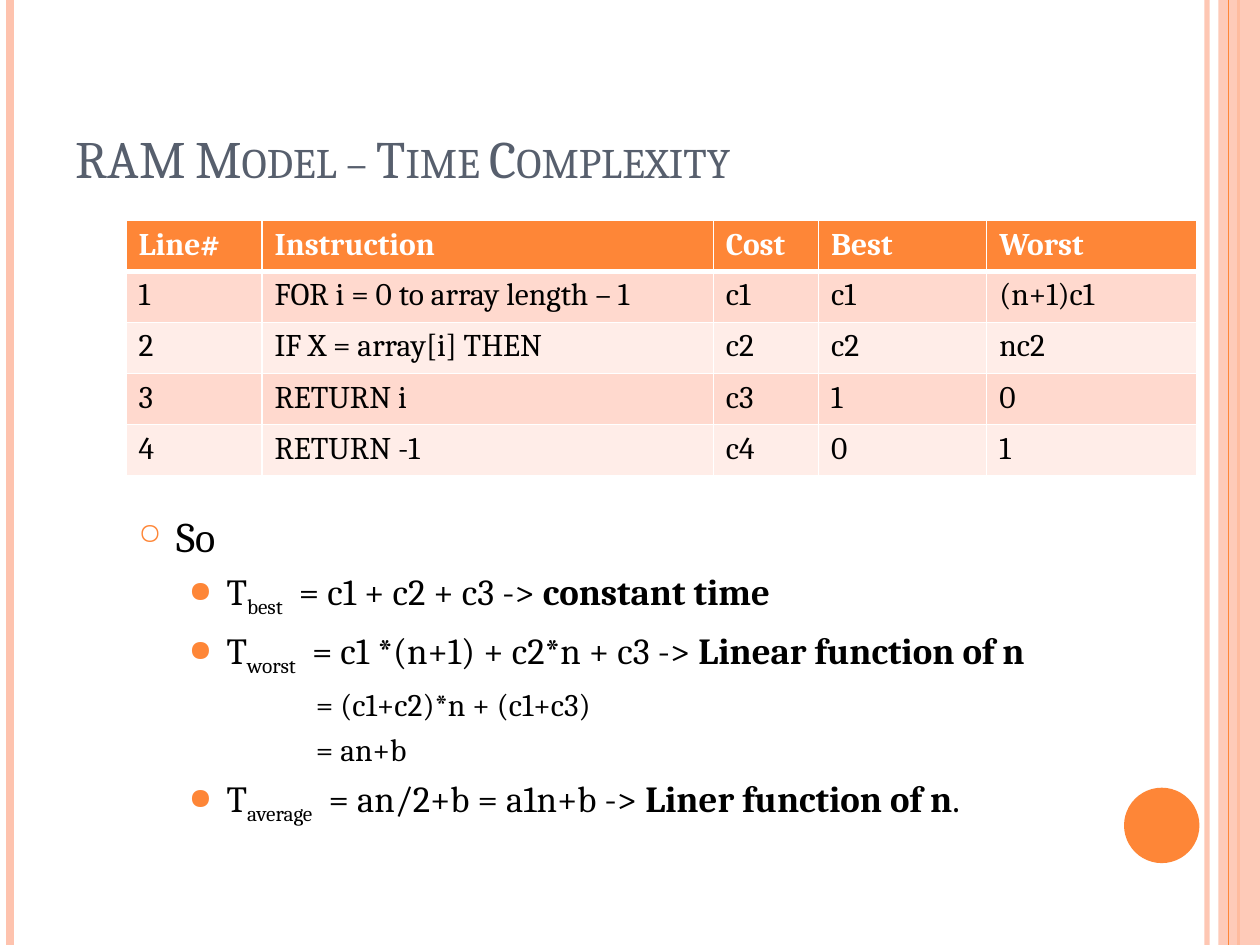
from dataclasses import dataclass
from lxml.etree import SubElement
from pptx import Presentation
from pptx.dml.color import RGBColor
from pptx.enum.shapes import MSO_CONNECTOR, MSO_SHAPE
from pptx.enum.text import MSO_ANCHOR, MSO_AUTO_SIZE, PP_ALIGN
from pptx.oxml.ns import qn
from pptx.util import Cm, Pt


@dataclass(frozen=True)
class Theme:
    font: str = "Cambria"
    accent: str = "FE8637"
    pale: str = "FEC3AE"
    heading: str = "575F6D"
    ink: str = "000000"
    white: str = "FFFFFF"
    bands: tuple = ("FFD9CE", "FFEDE8")
    title_size: float = 30
    table_size: float = 18
    level_sizes: tuple = (24, 21, 18)


THEME = Theme()
PAGE_WIDTH, PAGE_HEIGHT = 25.4, 19.05

TITLE = "RAM Model – Time Complexity"
TABLE = [
    ("Line#", "Instruction", "Cost", "Best", "Worst"),
    ("1", "FOR i = 0 to array length – 1", "c1", "c1", "(n+1)c1"),
    ("2", "IF X = array[i] THEN", "c2", "c2", "nc2"),
    ("3", "RETURN i", "c3", "1", "0"),
    ("4", "RETURN -1", "c4", "0", "1"),
]
COLUMN_WIDTHS = (2.74, 9.1, 2.12, 3.39, 4.23)
HEADER_HEIGHT, ROW_HEIGHT = 0.95, 1.03

BODY = [
    (0, [("So", "")]),
    (1, [("T", ""), ("best", "sub"), ("  = c1 + c2 + c3 -> ", ""), ("constant time", "bold")]),
    (1, [("T", ""), ("worst", "sub"), ("  = c1 *(n+1) + c2*n + c3 -> ", ""),
         ("Linear function of n", "bold")]),
    (2, [("= (c1+c2)*n + (c1+c3)", "")]),
    (2, [("= an+b", "")]),
    (1, [("T", ""), ("average", "sub"), ("  = an/2+b = a1n+b -> ", ""),
         ("Liner function of n", "bold"), (".", "")]),
]
LEVELS = [
    {"margin": 0.76, "hanging": 0.76, "bullet": "○", "percent": 70},
    {"margin": 1.78, "hanging": 0.76, "bullet": "●", "percent": 80},
    {"margin": 3.58, "hanging": 0, "bullet": None, "percent": None},
]
SPACE_RATIO = 0.23

RULES = [
    (24.33, THEME.pale, 3, 93),
    (0.2, THEME.pale, 4.5, 100),
    (24.97, THEME.accent, 1.5, 100),
]
INNER_RULE = (24.77, THEME.accent, 0.75, 100)
BAND_LEFT, BAND_OPACITY = 24.56, 87


def rgb(color):
    return RGBColor.from_string(color)


def set_opacity(element, percent):
    for color in element.iter(qn("a:srgbClr")):
        SubElement(color, qn("a:alpha"), val=str(percent * 1000))


def add_rule(page, x, color, width, opacity):
    rule = page.shapes.add_connector(
        MSO_CONNECTOR.STRAIGHT, Cm(x), Cm(0), Cm(x), Cm(PAGE_HEIGHT))
    rule.line.color.rgb = rgb(color)
    rule.line.width = Pt(width)
    properties = rule._element.spPr
    if opacity < 100:
        set_opacity(properties, opacity)
    SubElement(properties, qn("a:effectLst"))


def add_plain_shape(page, kind, left, top, width, height, color):
    shape = page.shapes.add_shape(kind, Cm(left), Cm(top), Cm(width), Cm(height))
    shape.shadow.inherit = False
    shape.fill.solid()
    shape.fill.fore_color.rgb = rgb(color)
    shape.line.fill.background()
    return shape


def add_span(para, text, size, color, bold=False):
    span = para.add_run()
    span.text = text
    span.font.name = THEME.font
    span.font.size = Pt(size)
    span.font.bold = bold
    span.font.color.rgb = rgb(color)
    return span


def add_decoration(page):
    for rule in RULES:
        add_rule(page, *rule)
    band = add_plain_shape(page, MSO_SHAPE.RECTANGLE, BAND_LEFT, 0,
                           PAGE_WIDTH - BAND_LEFT, PAGE_HEIGHT, THEME.pale)
    set_opacity(band._element.spPr, BAND_OPACITY)
    add_rule(page, *INNER_RULE)
    add_plain_shape(page, MSO_SHAPE.OVAL, 22.66, 15.88, 1.52, 1.52, THEME.accent)


def fill_title(page):
    title = page.shapes.title
    title.left, title.top, title.width, title.height = Cm(1.27), Cm(0.76), Cm(20.75), Cm(3.18)
    frame = title.text_frame
    frame.auto_size = MSO_AUTO_SIZE.NONE
    frame.vertical_anchor = MSO_ANCHOR.BOTTOM
    para = frame.paragraphs[0]
    para.alignment = PP_ALIGN.LEFT
    span = add_span(para, TITLE, THEME.title_size, THEME.heading)
    span._r.get_or_add_rPr().set("cap", "small")


def set_borders(cell, widths):
    properties = cell._tc.get_or_add_tcPr()
    for side, width in zip("LRTB", widths):
        line = SubElement(properties, qn(f"a:ln{side}"), w=str(Pt(width)))
        fill = SubElement(line, qn("a:solidFill"))
        SubElement(fill, qn("a:srgbClr"), val=THEME.white)


def add_cost_table(page):
    heights = [HEADER_HEIGHT] + [ROW_HEIGHT] * (len(TABLE) - 1)
    table = page.shapes.add_table(
        len(TABLE), len(COLUMN_WIDTHS), Cm(2.54), Cm(4.45),
        Cm(sum(COLUMN_WIDTHS)), Cm(sum(heights))).table
    for column, width in zip(table.columns, COLUMN_WIDTHS):
        column.width = Cm(width)
    for index, (values, height) in enumerate(zip(TABLE, heights)):
        header = index == 0
        table.rows[index].height = Cm(height)
        for position, value in enumerate(values):
            cell = table.cell(index, position)
            set_borders(cell, (1, 1, 3 if index == 1 else 1, 3 if header else 1))
            cell.fill.solid()
            cell.fill.fore_color.rgb = rgb(
                THEME.accent if header else THEME.bands[(index - 1) % 2])
            add_span(cell.text_frame.paragraphs[0], value, THEME.table_size,
                     THEME.white if header else THEME.ink, header)


def format_level(para, level):
    style = LEVELS[level]
    properties = para._p.get_or_add_pPr()
    properties.set("marL", str(Cm(style["margin"])))
    properties.set("indent", str(-Cm(style["hanging"])))
    if style["bullet"]:
        color = SubElement(properties, qn("a:buClr"))
        SubElement(color, qn("a:srgbClr"), val=THEME.accent)
        SubElement(properties, qn("a:buSzPct"), val=str(style["percent"] * 1000))
        SubElement(properties, qn("a:buChar"), char=style["bullet"])
    else:
        SubElement(properties, qn("a:buNone"))
    para.level = level


def add_body(page):
    box = page.shapes.add_textbox(Cm(2.54), Cm(10.16), Cm(21.59), Cm(6.55))
    frame = box.text_frame
    frame.word_wrap = True
    for index, (level, spans) in enumerate(BODY):
        para = frame.add_paragraph() if index else frame.paragraphs[0]
        size = THEME.level_sizes[level]
        format_level(para, level)
        if index:
            para.space_before = Pt(round(size * SPACE_RATIO, 1))
        for text, style in spans:
            span = add_span(para, text, size, THEME.ink, style == "bold")
            if style == "sub":
                span._r.get_or_add_rPr().set("baseline", "-25000")


def main():
    deck = Presentation()
    deck.slide_width, deck.slide_height = Cm(PAGE_WIDTH), Cm(PAGE_HEIGHT)
    page = deck.slides.add_slide(deck.slide_layouts[5])
    add_decoration(page)
    fill_title(page)
    add_body(page)
    add_cost_table(page)
    deck.save("out.pptx")


if __name__ == "__main__":
    main()
